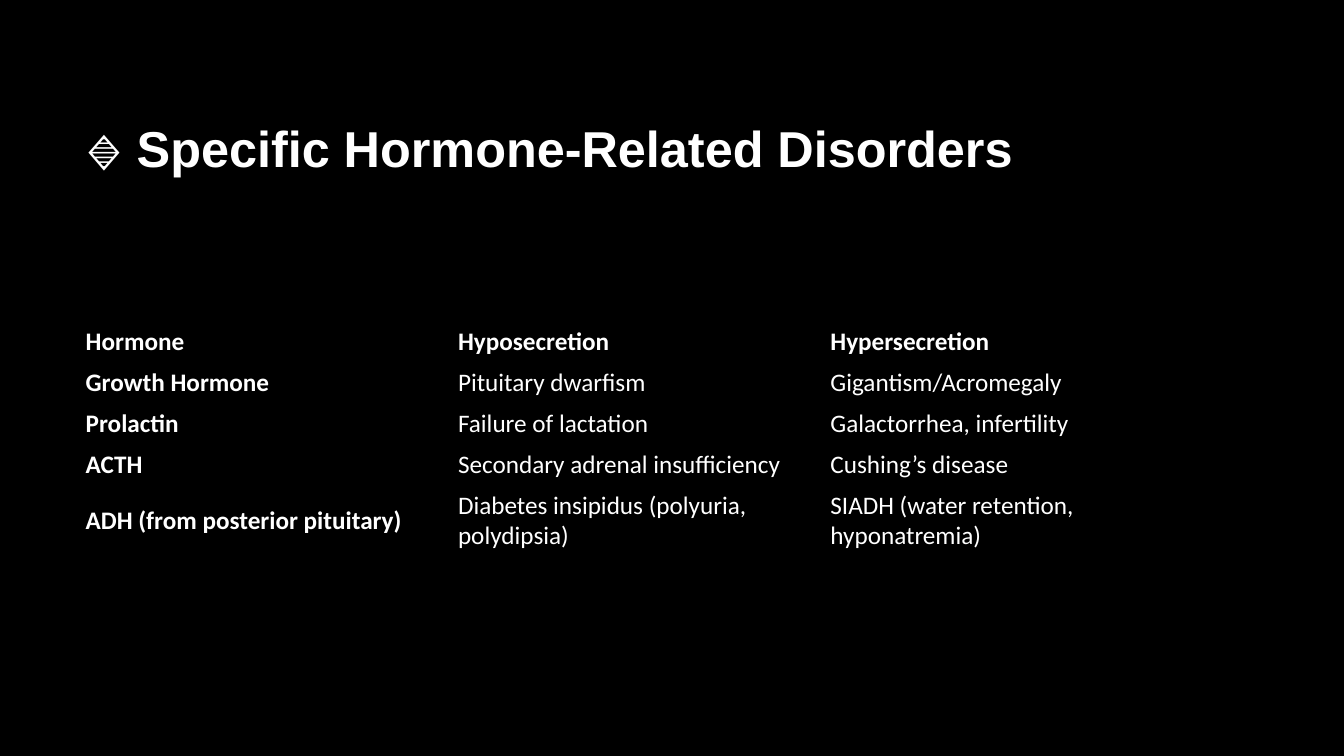
from dataclasses import dataclass

from pptx import Presentation
from pptx import util as u
from pptx.dml.color import RGBColor
from pptx.enum import text
from pptx.oxml.ns import qn

PX = 9525
WHITE = "FFFFFF"
BLACK = "000000"
NO_GRID_STYLE = "{2D5ABB26-0587-4C30-8999-92F81FD0307C}"
LEFT, WIDTH = 72, 1064
TITLE_TOP, TITLE_HEIGHT = 64, 153
TABLE_TOP = 306


@dataclass
class Disorder:
    hormone: str
    hyposecretion: str
    hypersecretion: str
    height: int = 39


ROWS = [
    Disorder("Hormone", "Hyposecretion", "Hypersecretion"),
    Disorder("Growth Hormone", "Pituitary dwarfism", "Gigantism/Acromegaly"),
    Disorder("Prolactin", "Failure of lactation", "Galactorrhea, infertility"),
    Disorder("ACTH", "Secondary adrenal insufficiency", "Cushing’s disease"),
    Disorder("ADH (from posterior pituitary)",
             "Diabetes insipidus (polyuria, polydipsia)",
             "SIADH (water retention, hyponatremia)", 68),
]


def px(n: int) -> u.Emu:
    return u.Emu(n * PX)


def color(value: str) -> RGBColor:
    return RGBColor.from_string(value)


def write(tf, content: str, font: str, size: int, bold: bool) -> None:
    tf.word_wrap = True
    p = tf.paragraphs[0]
    p.text = content
    p.font.name = font
    p.font.size = u.Pt(size)
    p.font.bold = bold
    p.font.color.rgb = color(WHITE)


def add_title(s, content: str) -> None:
    sp = s.shapes.add_textbox(px(LEFT), px(TITLE_TOP), px(WIDTH), px(TITLE_HEIGHT))
    sp.text_frame.vertical_anchor = text.MSO_ANCHOR.MIDDLE
    write(sp.text_frame, content, "Arial", 36, True)


def add_disorders(s, rows: list[Disorder]) -> None:
    height = sum(row.height for row in rows)
    table = s.shapes.add_table(len(rows), 3, px(LEFT), px(TABLE_TOP),
                               px(WIDTH), px(height)).table
    table.horz_banding = False
    table._tbl.tblPr.find(qn("a:tableStyleId")).text = NO_GRID_STYLE
    for column in table.columns:
        column.width = px(WIDTH) // 3
    for i, row in enumerate(rows):
        table.rows[i].height = px(row.height)
        values = (row.hormone, row.hyposecretion, row.hypersecretion)
        for j, value in enumerate(values):
            cell = table.cell(i, j)
            cell.fill.background()
            cell.vertical_anchor = text.MSO_ANCHOR.MIDDLE
            write(cell.text_frame, value, "Calibri", 18, i == 0 or j == 0)


def main() -> None:
    prs = Presentation()
    prs.slide_width, prs.slide_height = px(1280), px(720)
    s = prs.slides.add_slide(prs.slide_layouts[6])
    s.background.fill.solid()
    s.background.fill.fore_color.rgb = color(BLACK)
    add_title(s, "🔹 Specific Hormone-Related Disorders")
    add_disorders(s, ROWS)
    prs.save("out.pptx")


if __name__ == "__main__":
    main()
